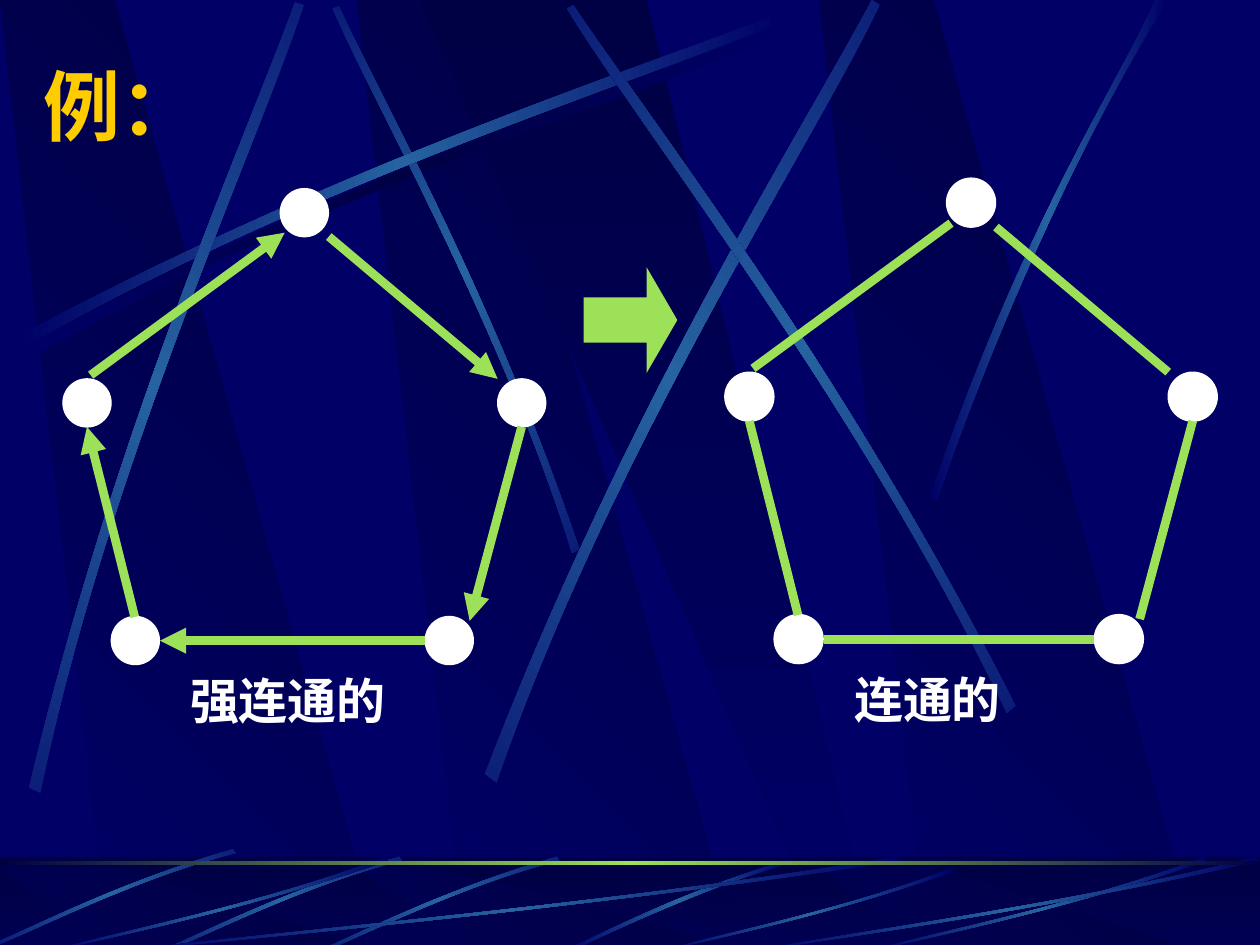
import math
from dataclasses import dataclass

import pptx
import pptx.dml.color
import pptx.enum.shapes
import pptx.enum.text
import pptx.oxml
import pptx.oxml.ns
import pptx.util

Pt = pptx.util.Pt
qn = pptx.oxml.ns.qn
SHAPE = pptx.enum.shapes.MSO_SHAPE
Point = tuple[float, float]

COLORS = {"base": "000066", "dark": "000044", "streak": "2663A0",
          "green": "9CE157", "white": "FFFFFF", "title": "FFCC00"}
CJK = "Noto Sans CJK SC"
BAND = ["base", "dark"]
GLOW = ["base", "streak", "base"]


@dataclass
class Streak:
    """A thin strip between two cubic curves, the second running back."""
    points: list[Point]
    rotation: float = 0

    def placed(self, x: float, y: float, w: float = 1, h: float = 1) -> "Streak":
        return Streak([(x + px * w, y + py * h) for px, py in self.points], self.rotation)


@dataclass
class Graph:
    left: float
    top: float
    scale: float
    directed: bool
    label: str
    label_width: float


# Streaks across the upper part
LONG = Streak([(10.1, 192.2), (200.2, 90.7), (373, 36.7), (446.4, 7.2),
               (448.6, 11.5), (375.9, 43.9), (178.6, 102.9), (12.3, 199.4)])
UPPER = [
    Streak([(331.2, 313.9), (281.5, 168.5), (217.4, 55.4), (193.7, 3.6),
            (190.1, 5), (212.4, 56.9), (286.6, 185.8), (326.9, 316.1)], 45),
    LONG,
    Streak([(16.6, 450), (67, 240.5), (141.8, 75.6), (168.5, 1.4),
            (173.5, 2.9), (149, 78.5), (61.9, 265), (23, 452.9)], 311.7),
    Streak([(277.2, 442.1), (358.6, 230.4), (459.4, 73.4), (498.2, 0),
            (502.6, 2.9), (467.3, 77.8), (349.9, 255.6), (283.7, 447.1)], 321.6),
    Streak([(580.3, 403.2), (482.4, 211), (371.5, 68.4), (327.6, 2.9),
            (324, 5), (365, 72.7), (493.2, 234), (575.3, 407.5)], 34.8),
    Streak([(531.4, 283.7), (586.1, 124.6), (639.4, 47.5), (660.2, 0),
            (667.4, 0), (602, 104.4), (553.7, 231.8), (535.7, 285.8)]),
]

# Streaks in the footer
SHORT = Streak([(318.2, 489.6), (255.6, 507.6), (206.6, 532.8), (184.3, 542.2),
                (185, 543.6), (207.4, 535), (262.8, 506.2), (319.7, 491.8)], 314.9)
UNIT = Streak([(1, 0.04), (0.57, 0.57), (0.17, 0.85), (0, 1),
               (0, 0.99), (0.17, 0.81), (0.62, 0.51), (0.99, 0)])
LOWER = [
    Streak([(451.4, 491), (386.6, 510.5), (343.4, 534.2), (322.6, 542.9),
            (326.2, 543.6), (352.8, 530.6), (411.1, 504), (452.2, 493.2)]),
    SHORT, SHORT.placed(-90, 0), SHORT.placed(-185, -4.3),
    UNIT.placed(72, 489.6, 444, 54), UNIT.placed(30, 489.6, 192, 54),
    UNIT.placed(379.4, 496, 166, 47.5), UNIT.placed(498, 489.6, 192, 54),
    UNIT.placed(432, 489.6, 288, 54),
]

# Pentagon graph, relative to its top left corner
NODE_SIZE = 27.5
NODES = [(124.2, 0), (0, 108.7), (248.4, 108.7), (27.6, 244.5), (207, 244.5)]
EDGES = [((41, 244.8), (13.7, 136.1)), ((15.8, 106.6), (126.7, 25.2)),
         ((151.9, 27.4), (248.4, 108.7)), ((262.1, 136.1), (232.4, 247)),
         ((206.6, 258.3), (55.4, 258.3))]
LABEL_AT = (65.5, 271.6)
GRAPHS = [Graph(36, 107.8, 1, True, "强连通的", 126.4),
          Graph(414.2, 101.8, 1.02, False, "连通的", 107.3)]


def rgb(name: str) -> pptx.dml.color.RGBColor:
    return pptx.dml.color.RGBColor.from_string(COLORS[name])


def xml(tag: str, inner: str = "", **attrs):
    text = "".join(f' {k}="{v}"' for k, v in attrs.items())
    ns = pptx.oxml.ns.nsdecls("a")
    return pptx.oxml.parse_xml(f"<a:{tag} {ns}{text}>{inner}</a:{tag}>")


def paint(sp, fill: str, line: str | None = None, width: float = 0.75) -> None:
    sp.shadow.inherit = False
    sp.fill.solid()
    sp.fill.fore_color.rgb = rgb(fill)
    if line:
        sp.line.color.rgb = rgb(line)
        sp.line.width = Pt(width)
    else:
        sp.line.fill.background()


def paint_gradient(sp, names: list[str], angle: float) -> None:
    paint(sp, names[0])
    stops = "".join(
        f'<a:gs pos="{100000 * i // (len(names) - 1)}"><a:srgbClr val="{COLORS[n]}"/></a:gs>'
        for i, n in enumerate(names))
    grad = xml("gradFill", f'<a:gsLst>{stops}</a:gsLst>'
               f'<a:lin ang="{round(angle * 60000)}" scaled="0"/>', rotWithShape=1)
    spPr = sp._element.spPr
    spPr.replace(spPr.find(qn("a:solidFill")), grad)


def add_outline(shapes, points: list[Point], names: list[str], angle: float):
    first, *rest = [(Pt(x), Pt(y)) for x, y in points]
    builder = shapes.build_freeform(*first, scale=1.0)
    builder.add_line_segments(rest, close=True)
    sp = builder.convert_to_shape()
    paint_gradient(sp, names, angle)
    return sp


def turn(point: Point, degrees: float) -> Point:
    """Turn a point clockwise about the slide's top left corner."""
    c, s = math.cos(math.radians(degrees)), math.sin(math.radians(degrees))
    return point[0] * c - point[1] * s, point[0] * s + point[1] * c


def add_streak(shapes, streak: Streak, names: list[str] = GLOW) -> None:
    level = [turn(p, -streak.rotation) for p in streak.points]
    sp = add_outline(shapes, level, names, 0)
    # Points 1-3 and 5-7 become the two curves
    lines = list(sp._element.iter(qn("a:lnTo")))
    for group in (lines[0:3], lines[4:7]):
        bezier = xml("cubicBezTo")
        group[0].addprevious(bezier)
        for line in group:
            bezier.append(line[0])
            line.getparent().remove(line)
    # Turn the level strip about its own centre
    x, y = turn((sp.left + sp.width / 2, sp.top + sp.height / 2), streak.rotation)
    sp.left, sp.top = round(x - sp.width / 2), round(y - sp.height / 2)
    sp.rotation = streak.rotation


def add_bands(shapes, top: float, bottom: float) -> None:
    for x in (203.8, 0, 468):
        add_outline(shapes, [(x + 62, bottom), (x + 217.4, bottom), (x + 65.5, top), (x, top)],
                    BAND, 315)
    add_outline(shapes, [(239.8, top), (473.8, bottom), (499.7, bottom), (369.4, top)],
                BAND[::-1], 90)


def add_box(shapes, kind, x: float, y: float, w: float, h: float):
    return shapes.add_shape(kind, Pt(x), Pt(y), Pt(w), Pt(h))


def set_text(tf, text: str, size: float, font: str, color: str) -> None:
    p = tf.paragraphs[0]
    p.text = text
    p.alignment = pptx.enum.text.PP_ALIGN.LEFT
    p.font.size, p.font.bold, p.font.name = Pt(size), True, font
    p.font.color.rgb = rgb(color)
    p._p.pPr.find(qn("a:defRPr")).append(xml("ea", typeface=CJK))


def add_graph(shapes, graph: Graph) -> None:
    def place(point: Point) -> Point:
        return graph.left + point[0] * graph.scale, graph.top + point[1] * graph.scale

    size = NODE_SIZE * graph.scale
    for node in NODES:
        paint(add_box(shapes, SHAPE.OVAL, *place(node), size, size), "white", "white")
    for start, end in EDGES:
        ends = [Pt(v) for v in place(start) + place(end)]
        edge = shapes.add_connector(pptx.enum.shapes.MSO_CONNECTOR.STRAIGHT, *ends)
        edge.line.color.rgb = rgb("green")
        edge.line.width = Pt(5)
        if graph.directed:
            edge.line._get_or_add_ln().append(xml("tailEnd", type="triangle"))
        edge._element.spPr.append(xml("effectLst"))
    x, y = place(LABEL_AT)
    tf = shapes.add_textbox(Pt(x), Pt(y), Pt(graph.label_width), Pt(41)).text_frame
    tf.word_wrap = not graph.directed
    set_text(tf, graph.label, 28, CJK, "white")


def main() -> None:
    prs = pptx.Presentation()
    prs.slide_width, prs.slide_height = Pt(720), Pt(540)
    s = prs.slides.add_slide(prs.slide_layouts[5])
    s.background.fill.solid()
    s.background.fill.fore_color.rgb = rgb("base")

    # Background
    backdrop = s.shapes.add_group_shape().shapes
    add_bands(backdrop, 0, 541)
    add_streak(backdrop, LONG.placed(4.3, 5.8), ["base", "dark", "base"])
    for streak in UPPER:
        add_streak(backdrop, streak)

    # Footer
    footer = (SHAPE.RECTANGLE, 0, 489.6, 720, 54)
    paint_gradient(add_box(backdrop, *footer), BAND[::-1], 90)
    add_bands(backdrop, 495.4, 543.6)
    veil = add_box(backdrop, *footer)
    paint(veil, "dark")
    veil.fill._xPr.find(qn("a:solidFill"))[0].append(xml("alpha", val=50000))
    for streak in LOWER:
        add_streak(backdrop, streak)
    rule = add_box(backdrop, SHAPE.RECTANGLE, 0, 492.3, 720, 1.8)
    paint_gradient(rule, ["dark", "green", "dark"], 0)

    # Title, in front of the background
    title = s.shapes.title
    title.left, title.top, title.width, title.height = Pt(17.6), Pt(29.5), Pt(612), Pt(60.5)
    title.text_frame.vertical_anchor = pptx.enum.text.MSO_ANCHOR.MIDDLE
    set_text(title.text_frame, "例：", 44, "Montserrat", "title")
    s.shapes._spTree.append(title._element)

    # Graphs and the arrow between them
    for graph in GRAPHS:
        add_graph(s.shapes.add_group_shape().shapes, graph)
    arrow = add_box(s.shapes, SHAPE.RIGHT_ARROW, 336, 162, 48.2, 41.8)
    arrow.adjustments[0], arrow.adjustments[1] = 0.5, 0.29
    paint(arrow, "green", "green", 5)
    arrow.line._get_or_add_ln().append(xml("miter", lim=800000))

    prs.save("out.pptx")


if __name__ == "__main__":
    main()
